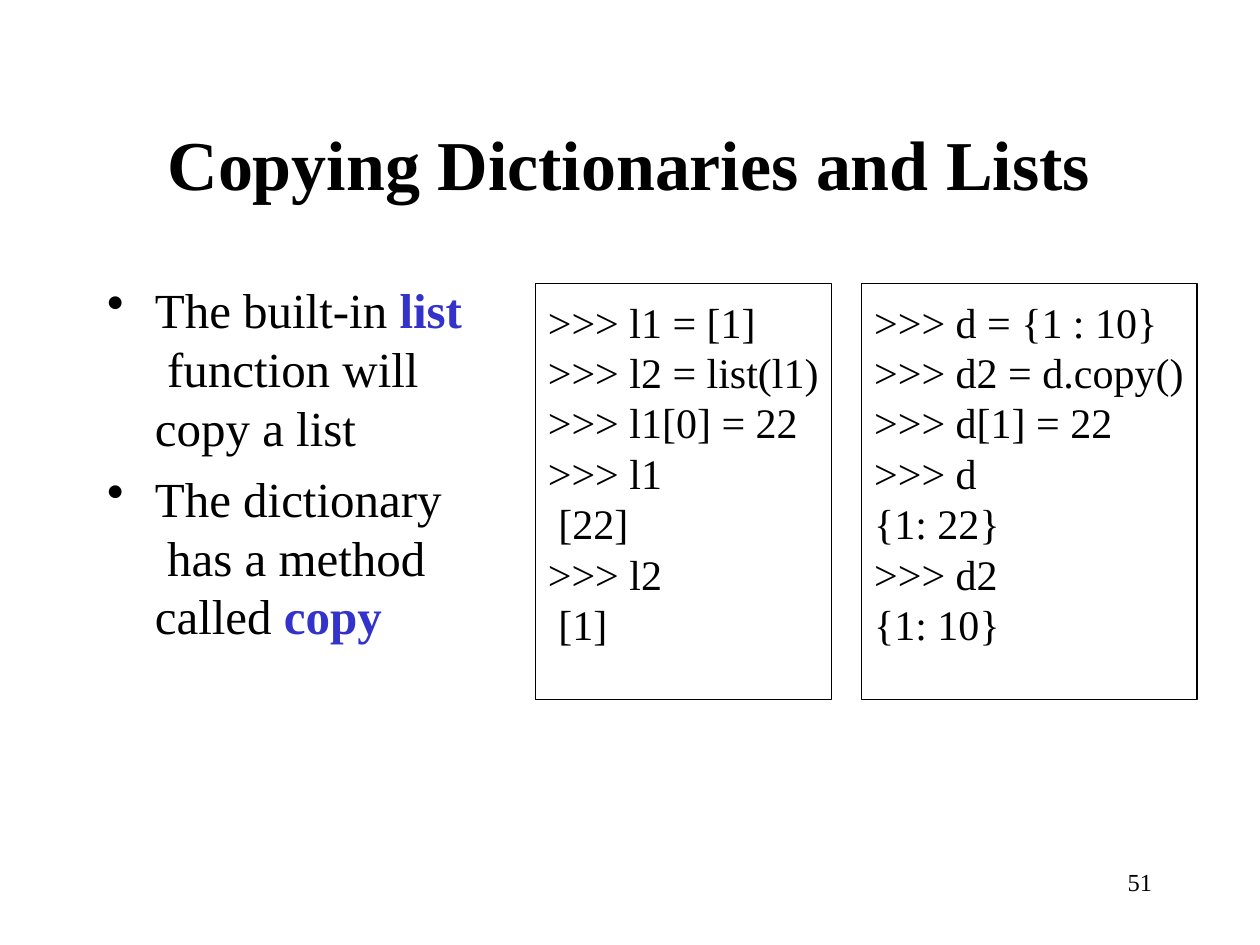
from lxml import etree
from pptx import Presentation
from pptx import util as u
from pptx.dml.color import RGBColor
from pptx.enum import shapes, text
from pptx.oxml.ns import qn

HUES = {"ink": "000000", "key": "3333CC"}
LISTS = [">>> l1 = [1]", ">>> l2 = list(l1)", ">>> l1[0] = 22",
         ">>> l1\v [22]", ">>> l2\v [1]"]
DICTS = [">>> d = {1 : 10}", ">>> d2 = d.copy()", ">>> d[1] = 22",
         ">>> d", "{1: 22}", ">>> d2", "{1: 10}"]
POINTS = ["The built-in *list*\v function will\vcopy a list",
          "The dictionary\v has a method\vcalled *copy*"]


class Deck:
    font = "Times New Roman"

    def __init__(self, slide):
        self.slide = slide

    def hue(self, name):
        return RGBColor.from_string(HUES[name])

    def frame(self, shape, left=0, top=0, wrap=True):
        body = shape.text_frame
        body.margin_left, body.margin_top = u.Inches(left), u.Inches(top)
        body.margin_right = body.margin_bottom = 0
        body.vertical_anchor = text.MSO_ANCHOR.TOP
        body.word_wrap = wrap
        return body

    def box(self, area, **inset):
        shape = self.slide.shapes.add_textbox(*map(u.Inches, area))
        return self.frame(shape, **inset)

    def style(self, para, size, bold=None):
        para.alignment = text.PP_ALIGN.LEFT
        font = para.font
        font.name, font.size, font.bold = self.font, u.Pt(size), bold
        font.color.rgb = self.hue("ink")

    def rows(self, body, lines):
        for i, line in enumerate(lines):
            para = body.add_paragraph() if i else body.paragraphs[0]
            yield i, para, line

    def label(self, area, words, size, bold=None, **inset):
        para = self.box(area, wrap=False, **inset).paragraphs[0]
        para.text = words
        self.style(para, size, bold)
        return para

    def bullets(self, area, lines, size):
        body = self.box(area, top=0.02)
        for i, para, line in self.rows(body, lines):
            props = para._p.get_or_add_pPr()
            props.set("marL", str(u.Inches(0.39)))
            props.set("indent", str(u.Inches(-0.38)))
            etree.SubElement(props, qn("a:buChar")).set("char", "•")
            for j, part in enumerate(line.split("*")):
                for k, piece in enumerate(part.split("\v")):
                    if k:
                        para.add_line_break()
                    if piece:
                        run = para.add_run()
                        run.text = piece
                        if j % 2:
                            run.font.bold = True
                            run.font.color.rgb = self.hue("key")
            self.style(para, size)
            if i:
                para.space_before = u.Pt(6.9)

    def code(self, area, lines, size):
        shape = self.slide.shapes.add_shape(
            shapes.MSO_SHAPE.RECTANGLE, *map(u.Inches, area))
        shape.shadow.inherit = False
        shape.fill.background()
        shape.line.color.rgb = self.hue("ink")
        shape.line.width = u.Pt(0.75)
        body = self.frame(shape, left=0.1, top=0.1)
        for _, para, line in self.rows(body, lines):
            para.text = line
            self.style(para, size)


def main():
    prs = Presentation()
    prs.slide_width, prs.slide_height = u.Inches(10), u.Inches(7.5)
    deck = Deck(prs.slides.add_slide(prs.slide_layouts[6]))
    page = deck.label((8.91, 6.89, 0.28, 0.24), "51", 14, left=0.04)
    page.line_spacing = u.Pt(16.3)
    deck.label((1.32, 0.94, 7.35, 0.69), "Copying Dictionaries and Lists",
               40, True, left=0.01, top=0.02)
    deck.bullets((0.84, 2.2, 2.9, 2.92), POINTS, 28)
    deck.code((4.25, 2.25, 2.35, 3.3), LISTS, 24)
    deck.code((6.84, 2.25, 2.66, 3.3), DICTS, 24)
    prs.save("out.pptx")


if __name__ == "__main__":
    main()
